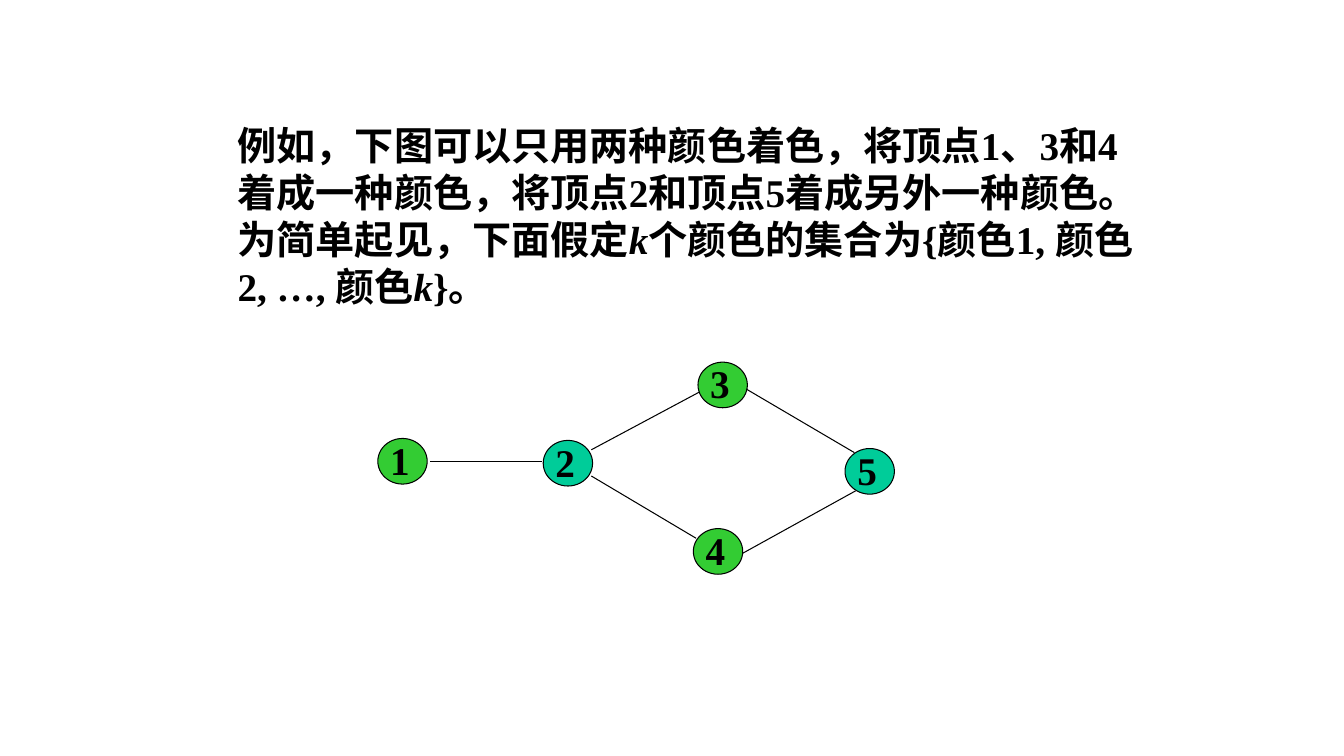
from dataclasses import dataclass

import pptx
import pptx.dml.color
import pptx.enum.shapes
import pptx.enum.text
import pptx.oxml
import pptx.oxml.ns
import pptx.util

Pt = pptx.util.Pt
RGBColor = pptx.dml.color.RGBColor

BLACK = RGBColor(0x00, 0x00, 0x00)
GREEN = RGBColor(0x33, 0xCC, 0x33)
TEAL = RGBColor(0x00, 0xCC, 0x99)
FONT_NAME = "Times New Roman"
FONT_SIZE = 28
LINE_WIDTH = 0.75
VERTEX_WIDTH, VERTEX_HEIGHT = 35.3, 32.6


@dataclass(frozen=True)
class Vertex:
    label: str
    left: float
    top: float
    color: RGBColor


@dataclass(frozen=True)
class Edge:
    start: tuple[float, float]
    end: tuple[float, float]


@dataclass(frozen=True)
class Span:
    text: str
    italic: bool = False


VERTICES = [
    Vertex("1", 270, 313.2, GREEN),
    Vertex("2", 388.2, 314.6, TEAL),
    Vertex("3", 498.8, 258.7, GREEN),
    Vertex("4", 495.5, 377.6, GREEN),
    Vertex("5", 603.9, 320.4, TEAL),
]

EDGES = [
    Edge((307.4, 330), (387.4, 330)),
    Edge((422.6, 321.3), (499.7, 280.1)),
    Edge((422.6, 340), (497.5, 384.5)),
    Edge((530.6, 395.3), (611.5, 350.6)),
    Edge((610.6, 323.3), (533.5, 278)),
]

EXAMPLE = [
    Span("例如，下图可以只用两种颜色着色，将顶点1、3和4着成一种颜色，"
         "将顶点2和顶点5着成另外一种颜色。为简单起见，下面假定"),
    Span("k", italic=True),
    Span("个颜色的集合为{颜色1, 颜色2, …, 颜色"),
    Span("k", italic=True),
    Span("}。"),
]


def add_span(para, span: Span) -> None:
    run = para.add_run()
    run.text = span.text
    run.font.name = FONT_NAME
    run.font.size = Pt(FONT_SIZE)
    run.font.bold = True
    run.font.italic = span.italic
    run.font.color.rgb = BLACK


def set_margins(frame, left: float, top: float, right: float, bottom: float) -> None:
    frame.margin_left, frame.margin_top = Pt(left), Pt(top)
    frame.margin_right, frame.margin_bottom = Pt(right), Pt(bottom)


def add_vertex(page, vertex: Vertex) -> None:
    oval = page.shapes.add_shape(
        pptx.enum.shapes.MSO_SHAPE.OVAL,
        Pt(vertex.left), Pt(vertex.top), Pt(VERTEX_WIDTH), Pt(VERTEX_HEIGHT))
    oval.shadow.inherit = False
    oval.fill.solid()
    oval.fill.fore_color.rgb = vertex.color
    oval.line.color.rgb = BLACK
    oval.line.width = Pt(LINE_WIDTH)
    frame = oval.text_frame
    frame.word_wrap = True
    frame.vertical_anchor = pptx.enum.text.MSO_ANCHOR.TOP
    set_margins(frame, 3.6, 0, 0, 0)
    para = frame.paragraphs[0]
    para.alignment = pptx.enum.text.PP_ALIGN.JUSTIFY
    para.line_spacing = 0.8
    add_span(para, Span(vertex.label))


def add_edge(page, edge: Edge) -> None:
    line = page.shapes.add_connector(
        pptx.enum.shapes.MSO_CONNECTOR.STRAIGHT,
        *(Pt(length) for length in edge.start + edge.end))
    line.line.color.rgb = BLACK
    line.line.width = Pt(LINE_WIDTH)
    properties = line._element.spPr
    properties.append(properties.makeelement(pptx.oxml.ns.qn("a:effectLst"), {}))


def add_example(page, spans: list[Span]) -> None:
    box = page.shapes.add_textbox(Pt(162.7), Pt(82.8), Pt(657.4), Pt(141.8))
    frame = box.text_frame
    frame.word_wrap = True
    frame.auto_size = pptx.enum.text.MSO_AUTO_SIZE.SHAPE_TO_FIT_TEXT
    set_margins(frame, 7.2, 3.6, 7.2, 3.6)
    for span in spans:
        add_span(frame.paragraphs[0], span)


def main() -> None:
    deck = pptx.Presentation()
    deck.slide_width, deck.slide_height = Pt(960.48), Pt(540)
    page = deck.slides.add_slide(deck.slide_layouts[6])

    # Graph with its two-colour vertices
    for vertex in VERTICES:
        add_vertex(page, vertex)
    for edge in EDGES:
        add_edge(page, edge)

    # Explanation above the graph
    add_example(page, EXAMPLE)

    deck.save("out.pptx")


if __name__ == "__main__":
    main()
